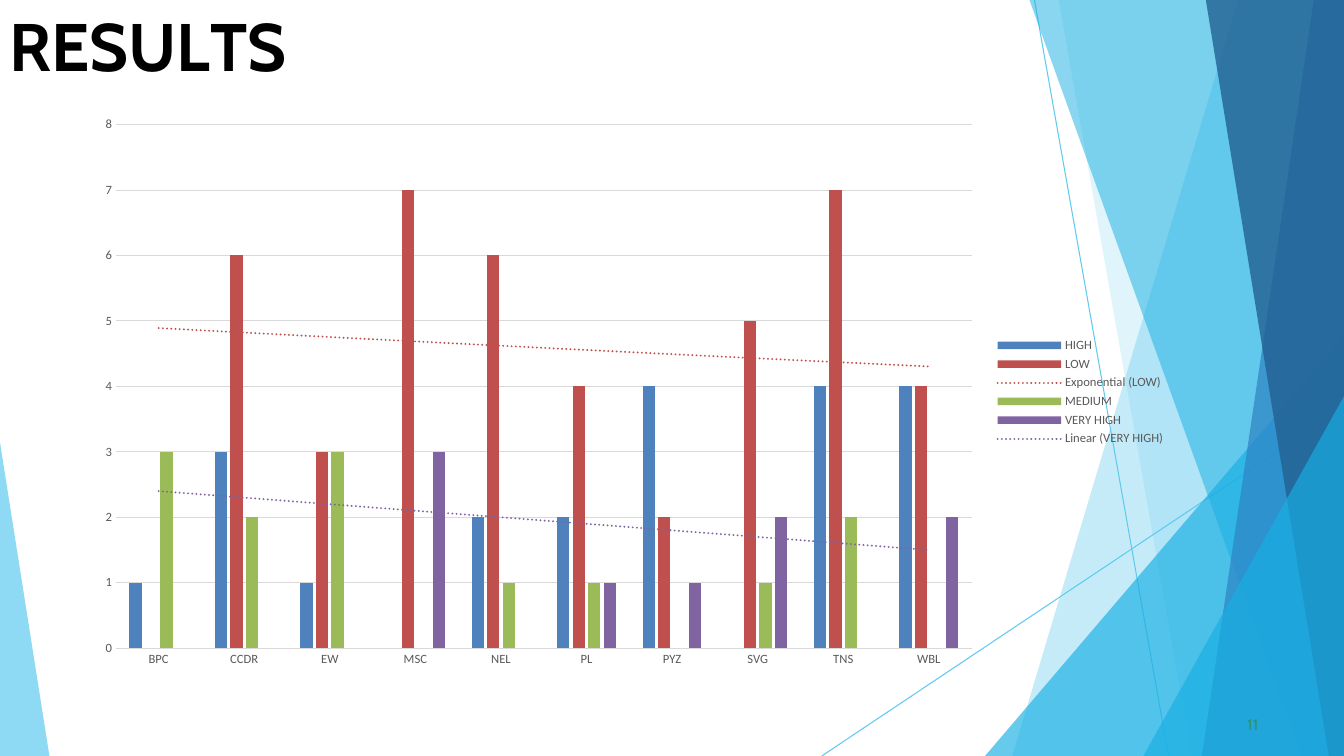
from lxml.etree import SubElement
from pptx import Presentation
from pptx.chart.data import CategoryChartData
from pptx.dml.color import RGBColor
from pptx.enum.chart import XL_CHART_TYPE as ChartType, XL_LEGEND_POSITION as LegendPosition
from pptx.enum.chart import XL_TICK_MARK as TickMark
from pptx.enum.shapes import MSO_CONNECTOR as Connector
from pptx.enum.text import MSO_ANCHOR as Anchor, MSO_AUTO_SIZE as AutoSize, PP_ALIGN as Align
from pptx.oxml import parse_xml
from pptx.oxml.ns import nsdecls, qn
from pptx.util import Inches, Pt

WIDTH, HEIGHT = 13.33, 7.5
COLORS = {
    "sky": "5FCAEE", "cyan": "17AFE3", "blue": "2D83C3", "navy": "226192",
    "title": "000000", "number": "2D936B", "label": "595959", "grid": "D9D9D9",
    "HIGH": "4F81BD", "LOW": "C0504D", "MEDIUM": "9BBB59", "VERY HIGH": "8064A2",
}
PROGRAMS = ["BPC", "CCDR", "EW", "MSC", "NEL", "PL", "PYZ", "SVG", "TNS", "WBL"]
RATINGS = {
    "HIGH": [1, 3, 1, None, 2, 2, 4, None, 4, 4],
    "LOW": [None, 6, 3, 7, 6, 4, 2, 5, 7, 4],
    "MEDIUM": [3, 2, 3, None, 1, 1, None, 1, 2, None],
    "VERY HIGH": [None, None, None, 3, None, 1, 1, 2, None, 2],
}
TRENDS = {"LOW": "exp", "VERY HIGH": "linear"}


def color(name):
    """Return the palette colour with this name."""
    return RGBColor.from_string(COLORS[name])


def add_facet(slide, corners, fill, opacity):
    """Draw one translucent polygon of the backdrop."""
    points = [(Inches(x), Inches(y)) for x, y in corners]
    builder = slide.shapes.build_freeform(*points[0])
    builder.add_line_segments(points[1:], close=True)
    facet = builder.convert_to_shape()
    facet.shadow.inherit = False
    facet.fill.solid()
    facet.fill.fore_color.rgb = color(fill)
    facet.line.fill.background()
    tint = facet.fill._xPr.find(qn("a:solidFill"))[0]
    SubElement(tint, qn("a:alpha"), val=str(opacity * 1000))


def add_ray(slide, start, end):
    """Draw one thin line of the backdrop."""
    ray = slide.shapes.add_connector(
        Connector.STRAIGHT, *(Inches(length) for length in (*start, *end)))
    ray.line.color.rgb = color("sky")
    ray.line.width = Pt(0.75)
    SubElement(ray._element.spPr, qn("a:effectLst"))


def add_backdrop(slide, left, top, width, height):
    """Draw the rays and facets along the edges of the box."""
    right, bottom = left + width, top + height
    add_ray(slide, (left + 10.26, top), (left + 11.59, bottom))
    add_ray(slide, (right, top + 4.04), (left + 8.15, bottom))

    def add_band(upper, lower, fill, opacity):
        """Draw a full-height facet that reaches the right edge."""
        add_facet(slide, [(right, top), (left + upper, top), (left + lower, bottom),
                          (right, bottom)], fill, opacity)

    def add_wedge(peak, foot, fill, opacity):
        """Draw a triangle in the lower right corner."""
        add_facet(slide, [(right, top + peak), (left + foot, bottom),
                          (right, bottom)], fill, opacity)

    add_band(12.28, 10.04, "sky", 36)
    add_band(10.5, 11.82, "sky", 20)
    add_wedge(3.33, 9.77, "cyan", 66)
    add_band(10.21, 12.91, "cyan", 50)
    add_band(13.03, 11.92, "blue", 70)
    add_band(11.96, 13.18, "navy", 80)
    add_wedge(3.93, 11.34, "cyan", 66)
    add_facet(slide, [(left, top + 4.39), (left, bottom), (left + 0.49, bottom)], "sky", 70)


def write_line(holder, pieces, size, ink, bold, indent, space_before):
    """Write one left-aligned line from pieces of text and letter spacing."""
    frame = holder.text_frame
    frame.word_wrap = True
    frame.auto_size = AutoSize.SHAPE_TO_FIT_TEXT
    frame.vertical_anchor = Anchor.TOP
    frame.margin_left = frame.margin_right = frame.margin_bottom = 0
    frame.margin_top = Inches(0.01)
    line = frame.paragraphs[0]
    line.alignment = Align.LEFT
    line.space_before = Pt(space_before)
    properties = line._p.get_or_add_pPr()
    properties.set("marL", str(Inches(indent)))
    properties.set("indent", "0")
    for text, spacing in pieces:
        run = line.add_run()
        run.text = text
        run.font.name = "Cabin"
        run.font.size = Pt(size)
        run.font.bold = bold
        run.font.color.rgb = color(ink)
        run.font._element.set("spc", str(round(spacing * 100)))


def add_heading(slide, left, top, width, height):
    """Place and write the slide title."""
    heading = slide.shapes.title
    heading.left, heading.top = Inches(left), Inches(top)
    heading.width, heading.height = Inches(width), Inches(height)
    pieces = [("R", 0), ("E", -0.4), ("S", 0.1), ("U", -0.3), ("L", -4), ("TS", 0)]
    write_line(heading, pieces, 48, "title", True, 0.01, 1.1)


def add_page_number(slide, left, top, width, height):
    """Write the page number in the lower right corner."""
    number = slide.shapes.add_textbox(*map(Inches, (left, top, width, height)))
    write_line(number, [("11", 0.1)], 11, "number", False, 0.04, 0.6)


def style_labels(font):
    """Give chart labels their font, size and colour."""
    font.name = "Calibri"
    font.size = Pt(9)
    font.color.rgb = color("label")


def add_trend(series, kind):
    """Add a dotted trend line in the colour of its series."""
    trend = parse_xml(
        f'<c:trendline {nsdecls("c", "a")}><c:spPr><a:ln w="{Pt(1.5)}" cap="rnd">'
        f'<a:solidFill><a:srgbClr val="{COLORS[series.name]}"/></a:solidFill>'
        '<a:prstDash val="sysDot"/></a:ln></c:spPr>'
        f'<c:trendlineType val="{kind}"/><c:dispRSqr val="0"/><c:dispEq val="0"/>'
        '</c:trendline>')
    series._element.find(qn("c:cat")).addprevious(trend)


def add_ratings_chart(slide, left, top, width, height):
    """Chart the ratings of each program with their trends."""
    ratings = CategoryChartData()
    ratings.categories = PROGRAMS
    for level, counts in RATINGS.items():
        ratings.add_series(level, counts)
    chart = slide.shapes.add_chart(
        ChartType.COLUMN_CLUSTERED, *map(Inches, (left, top, width, height)), ratings).chart
    chart.has_title = False
    chart.font.name = "Calibri"
    chart.font.size = Pt(10)
    chart.has_legend = True
    chart.legend.position = LegendPosition.RIGHT
    chart.legend.include_in_layout = False
    style_labels(chart.legend.font)

    for axis in (chart.category_axis, chart.value_axis):
        axis.major_tick_mark = axis.minor_tick_mark = TickMark.NONE
        style_labels(axis.tick_labels.font)
    chart.value_axis.format.line.fill.background()
    for rule in (chart.category_axis.format.line, chart.value_axis.major_gridlines.format.line):
        rule.color.rgb = color("grid")
        rule.width = Pt(0.75)

    columns = chart.plots[0]
    columns.vary_by_categories = False
    columns.gap_width = 219
    columns.overlap = -27
    for series in columns.series:
        series.format.fill.solid()
        series.format.fill.fore_color.rgb = color(series.name)
        if series.name in TRENDS:
            add_trend(series, TRENDS[series.name])


def main():
    """Build the results slide and save it."""
    deck = Presentation()
    deck.slide_width, deck.slide_height = Inches(WIDTH), Inches(HEIGHT)
    slide = deck.slides.add_slide(deck.slide_layouts[5])
    add_backdrop(slide, 0, 0, WIDTH, HEIGHT)
    add_heading(slide, 0.08, 0.03, 4.16, 0.82)
    add_page_number(slide, 12.33, 7.08, 0.25, 0.21)
    add_ratings_chart(slide, 0.83, 1.05, 10.83, 5.68)
    deck.save("out.pptx")


if __name__ == "__main__":
    main()
